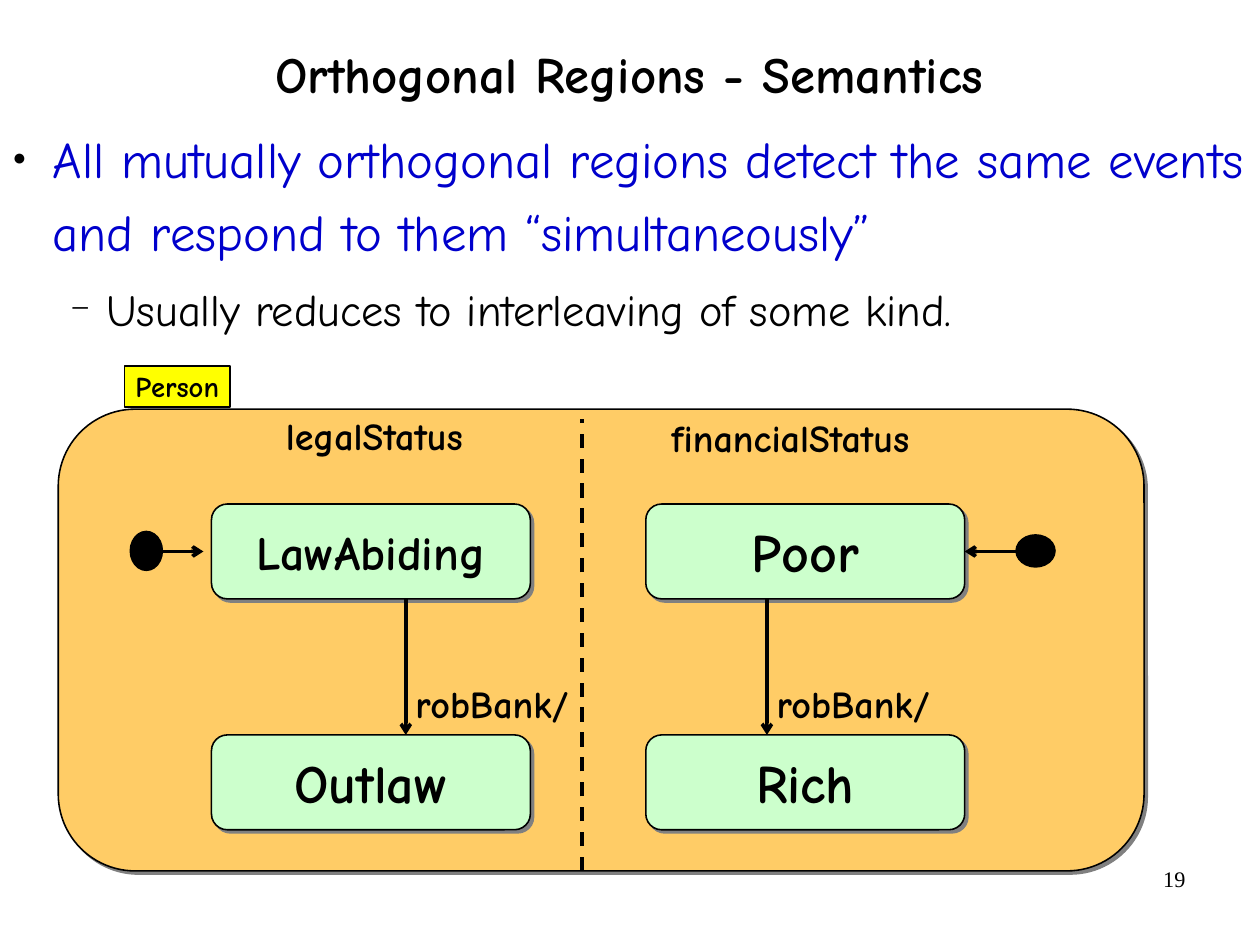
from dataclasses import dataclass

from lxml.etree import SubElement
from pptx import Presentation
from pptx.dml.color import RGBColor
from pptx.enum.dml import MSO_LINE
from pptx.enum.shapes import MSO_CONNECTOR, MSO_SHAPE
from pptx.enum.text import MSO_ANCHOR, PP_ALIGN
from pptx.oxml.ns import qn
from pptx.util import Inches, Pt


@dataclass(frozen=True)
class Theme:
    font: str = "Comic Neue"
    serif: str = "Times New Roman"
    black: str = "000000"
    blue: str = "0000CC"
    orange: str = "FFCC66"
    green: str = "CCFFCC"
    yellow: str = "FFFF00"
    shadow: str = "808080"
    heading: int = 32
    state: int = 34
    long_state: int = 30
    sub: int = 28
    label: int = 24
    tag: int = 18
    number: int = 14
    thin: float = 1
    thick: float = 2.25


THEME = Theme()
CM_PER_INCH = 2.54
STATE_W, STATE_H = 2.79, 0.83
ROWS = (4.41, 6.43)
START_Y = ROWS[0] + STATE_H / 2


def write(p, text, size, color=THEME.black, bold=False, font=THEME.font,
          align=PP_ALIGN.CENTER, spacing=None):
    """Add one formatted run to a paragraph."""
    p.alignment = align
    if spacing:
        p.line_spacing = spacing
    r = p.add_run()
    r.text = text
    r.font.size, r.font.name, r.font.bold = Pt(size), font, bold
    r.font.color.rgb = RGBColor.from_string(color)


def set_bullet(p, char, percent, margin, indent):
    pPr = p._p.get_or_add_pPr()
    pPr.set("marL", str(Inches(margin)))
    pPr.set("indent", str(Inches(indent)))
    clr = SubElement(pPr, qn("a:buClr"))
    SubElement(clr, qn("a:srgbClr"), val=THEME.black)
    SubElement(pPr, qn("a:buSzPct"), val=str(percent * 1000))
    SubElement(pPr, qn("a:buFont"), typeface=THEME.serif)
    SubElement(pPr, qn("a:buChar"), char=char)


class Diagram:
    """Draws styled elements on the current slide."""

    def __init__(self, slide, theme):
        self.shapes = slide.shapes
        self.theme = theme

    def frame(self, sp, inset=(0.11, 0.06), wrap=False,
              anchor=MSO_ANCHOR.MIDDLE):
        tf = sp.text_frame
        tf.word_wrap = wrap
        tf.vertical_anchor = anchor
        tf.margin_left = tf.margin_right = Inches(inset[0])
        tf.margin_top = tf.margin_bottom = Inches(inset[1])
        return tf

    def text(self, x, y, w, h, **options):
        sp = self.shapes.add_textbox(*map(Inches, (x, y, w, h)))
        return self.frame(sp, **options)

    def label(self, text, x, y, w):
        tf = self.text(x, y, w, 0.51)
        write(tf.paragraphs[0], text, self.theme.label, bold=True)

    def box(self, kind, x, y, w, h, fill, shadow=False):
        sp = self.shapes.add_shape(kind, *map(Inches, (x, y, w, h)))
        sp.fill.solid()
        sp.fill.fore_color.rgb = RGBColor.from_string(fill)
        sp.line.color.rgb = RGBColor.from_string(self.theme.black)
        sp.line.width = Pt(self.theme.thin)
        sp.shadow.inherit = False
        if shadow:
            effects = sp._element.spPr.find(qn("a:effectLst"))
            outer = SubElement(effects, qn("a:outerShdw"), dist=str(Pt(2.8)),
                               dir="2700000", algn="ctr", rotWithShape="0")
            SubElement(outer, qn("a:srgbClr"), val=self.theme.shadow)
        return sp

    def state(self, text, x, y, size):
        sp = self.box(MSO_SHAPE.ROUNDED_RECTANGLE, x, y, STATE_W, STATE_H,
                      self.theme.green, shadow=True)
        write(self.frame(sp).paragraphs[0], text, size, bold=True)
        return sp

    def line(self, start, end, dashed=False, arrow=True):
        cx = self.shapes.add_connector(MSO_CONNECTOR.STRAIGHT,
                                       *map(Inches, start + end))
        cx.line.color.rgb = RGBColor.from_string(self.theme.black)
        cx.line.width = Pt(self.theme.thick)
        if dashed:
            cx.line.dash_style = MSO_LINE.DASH
        if arrow:
            SubElement(cx.line._get_or_add_ln(), qn("a:tailEnd"), type="arrow")
        SubElement(cx._element.spPr, qn("a:effectLst"))
        return cx


def add_text(d):
    # Page number
    tf = d.text(7.9, 7.52, 2.57, 0.57, inset=(0.1, 0.05), wrap=True,
                anchor=MSO_ANCHOR.TOP)
    write(tf.paragraphs[0], "19", THEME.number, font=THEME.serif,
          align=PP_ALIGN.RIGHT)

    # Title
    tf = d.text(0.26, 0.22, 10.5, 0.92, inset=(0, 0), wrap=True)
    write(tf.paragraphs[0], "Orthogonal Regions - Semantics", THEME.heading,
          bold=True, spacing=0.88)

    # Bullets
    tf = d.text(0, 1.01, 11.02, 7, inset=(0, 0), wrap=True,
                anchor=MSO_ANCHOR.TOP)
    p = tf.paragraphs[0]
    set_bullet(p, "●", 45, 0.46, -0.35)
    write(p, "All mutually orthogonal regions detect the same events and "
          "respond to them “simultaneously”", THEME.heading, THEME.blue,
          align=PP_ALIGN.LEFT, spacing=1.2)
    p = tf.add_paragraph()
    p.level = 1
    set_bullet(p, "−", 75, 0.93, -0.31)
    p.space_before = Pt(6)
    write(p, "Usually reduces to interleaving of some kind.", THEME.sub,
          align=PP_ALIGN.LEFT, spacing=1.2)


def add_machine(d):
    # Composite state, its name tag and the region divider
    d.box(MSO_SHAPE.ROUNDED_RECTANGLE, 0.51, 3.58, 9.5, 4.04, THEME.orange,
          shadow=True)
    d.line((5.09, 7.62), (5.09, 3.67), dashed=True, arrow=False)
    tag = d.box(MSO_SHAPE.RECTANGLE, 1.09, 3.2, 0.92, 0.36, THEME.yellow)
    write(d.frame(tag).paragraphs[0], "Person", THEME.tag, bold=True)
    d.label("legalStatus", 2.27, 3.55, 2.01)
    d.label("financialStatus", 5.6, 3.57, 2.63)

    # States and transitions of each region
    regions = (
        (1.85, "LawAbiding", THEME.long_state, "Outlaw", 3.55),
        (5.65, "Poor", THEME.state, "Rich", 6.71),
    )
    for x, first, size, second, arrow_x in regions:
        upper = d.state(first, x, ROWS[0], size)
        d.state(second, x, ROWS[1], THEME.state)
        d.line((arrow_x, ROWS[0] + STATE_H), (arrow_x, ROWS[1]))
        d.label("robBank/", arrow_x - 0.08, 5.9, 1.67)

    # Initial states
    d.box(MSO_SHAPE.OVAL, 1.14, 4.65, 0.28, 0.34, THEME.black)
    d.line((1.41, START_Y), (1.78, START_Y))
    d.box(MSO_SHAPE.OVAL, 8.89, 4.68, 0.34, 0.28, THEME.black)
    d.line((8.89, START_Y), (8.44, START_Y)).end_connect(upper, 3)


def main():
    prs = Presentation()
    prs.slide_width = Inches(28 / CM_PER_INCH)
    prs.slide_height = Inches(21 / CM_PER_INCH)
    d = Diagram(prs.slides.add_slide(prs.slide_layouts[6]), THEME)
    add_text(d)
    add_machine(d)
    prs.save("out.pptx")


if __name__ == "__main__":
    main()
